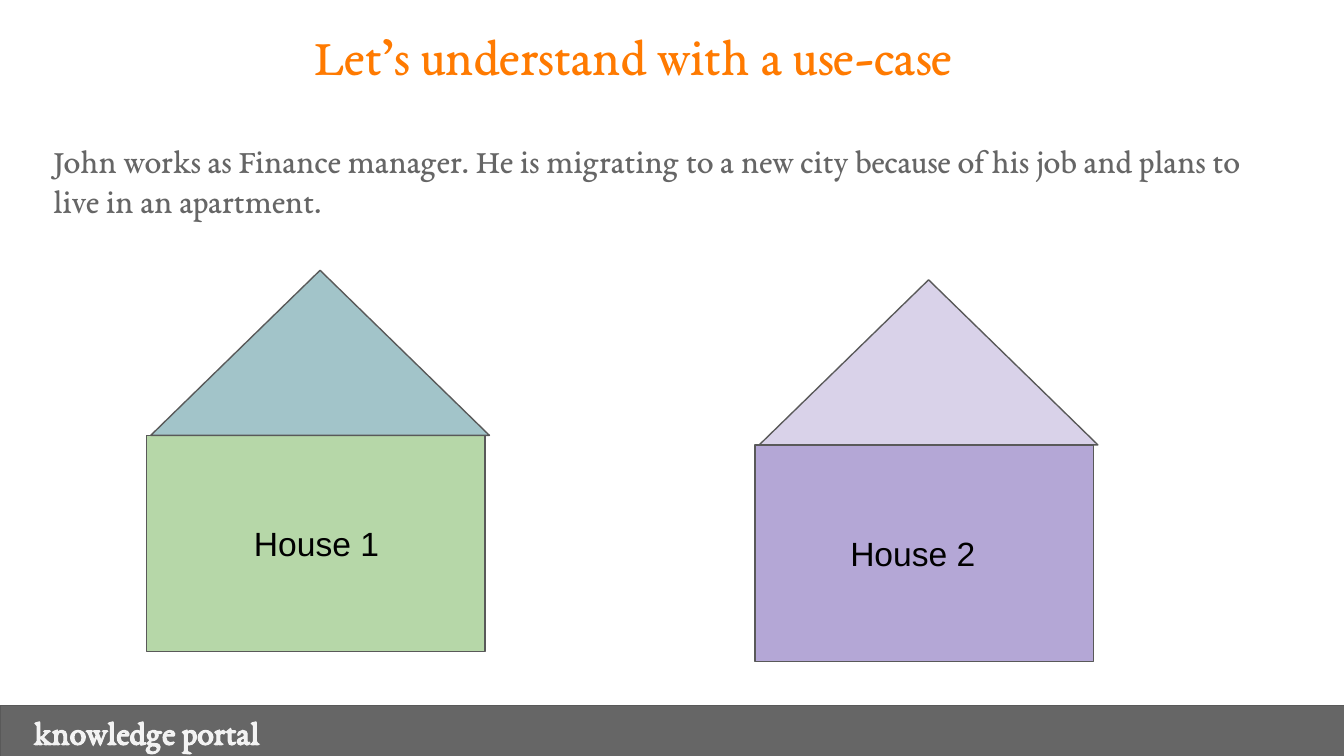
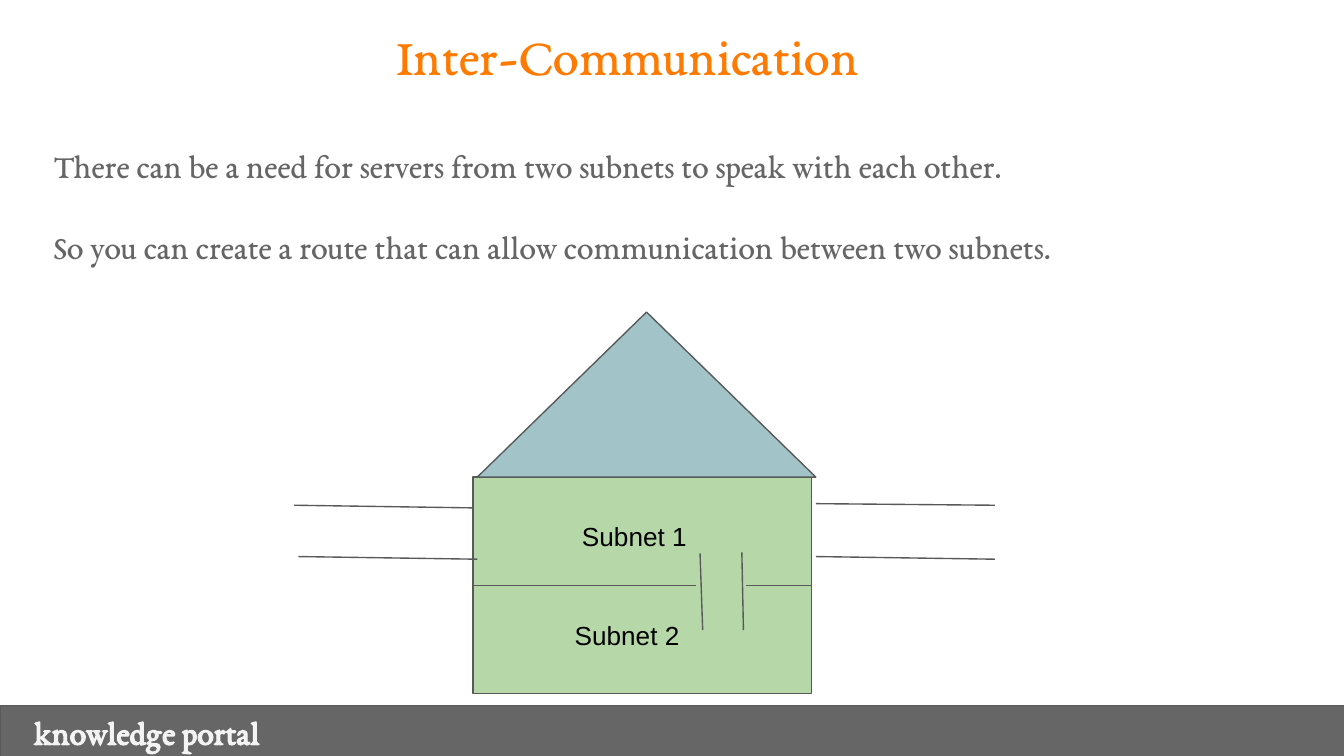
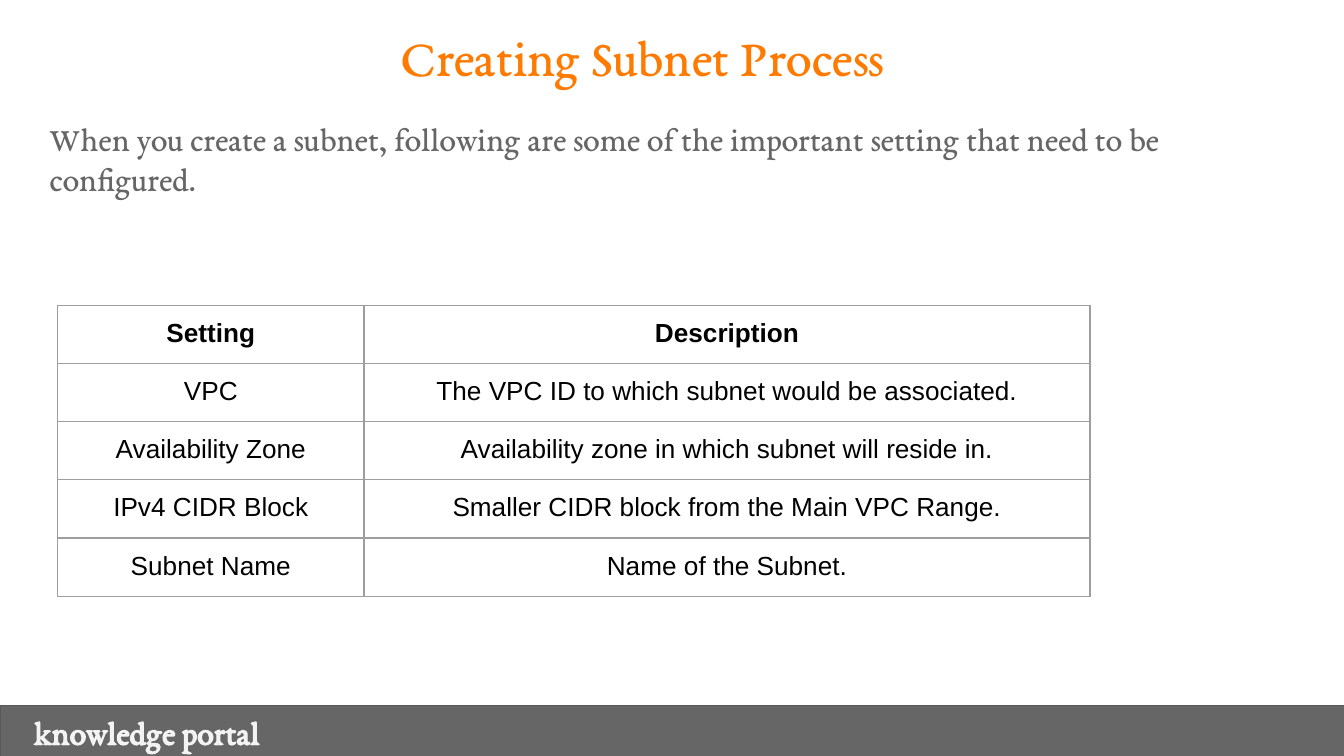
from lxml.etree import SubElement
from pptx import Presentation
from pptx.dml.color import RGBColor
from pptx.enum.shapes import MSO_CONNECTOR, MSO_SHAPE
from pptx.enum.text import MSO_ANCHOR, MSO_AUTO_SIZE, PP_ALIGN
from pptx.oxml.ns import qn
from pptx.util import Cm, Pt

ORANGE = RGBColor(0xFF, 0x7A, 0x00)
GRAY = RGBColor(0x66, 0x66, 0x66)
OUTLINE = RGBColor(0x59, 0x59, 0x59)
PALE = RGBColor(0xF3, 0xF3, 0xF3)
BLACK = RGBColor(0x00, 0x00, 0x00)
GREEN = RGBColor(0xB6, 0xD7, 0xA8)
TEAL = RGBColor(0xA2, 0xC4, 0xC9)
PURPLE = RGBColor(0xB4, 0xA7, 0xD6)
LILAC = RGBColor(0xD9, 0xD2, 0xE9)
TABLE_BORDER = "9E9E9E"

SERIF = "EB Garamond"
SANS = "Arial"
LINE_WIDTH = Pt(0.75)
INSET = 0.25


def write(frame, lines, font_name, size, color, bold=False, align=PP_ALIGN.LEFT,
          anchor=MSO_ANCHOR.TOP, left_inset=INSET, gap=0):
    """Fill a text frame, one paragraph per line, with gap points between them."""
    frame.word_wrap = True
    frame.auto_size = MSO_AUTO_SIZE.NONE
    frame.vertical_anchor = anchor
    frame.margin_left = Cm(left_inset)
    frame.margin_right = frame.margin_top = frame.margin_bottom = Cm(INSET)
    for index, line in enumerate(lines):
        paragraph = frame.add_paragraph() if index else frame.paragraphs[0]
        properties = paragraph._p.get_or_add_pPr()
        properties.set("marL", "0")
        properties.set("indent", "0")
        SubElement(properties, qn("a:buNone"))
        paragraph.alignment = align
        paragraph.space_before = Pt(gap if index else 0)
        run = paragraph.add_run()
        run.text = line
        run.font.name = font_name
        run.font.size = Pt(size)
        run.font.bold = bold
        run.font.color.rgb = color


def add_outlined_shape(slide, kind, left, top, width, height, fill):
    shape = slide.shapes.add_shape(kind, Cm(left), Cm(top), Cm(width), Cm(height))
    shape.shadow.inherit = False
    shape.fill.solid()
    shape.fill.fore_color.rgb = fill
    shape.line.color.rgb = OUTLINE
    shape.line.width = LINE_WIDTH
    return shape


presentation = Presentation()
presentation.slide_width = Cm(25.4)
presentation.slide_height = Cm(14.29)

# Titles, body text and footer band
pages = [
    ("Let’s understand with a use-case", (0, 0.18), (0.76, 2.39),
     ["John works as Finance manager. He is migrating to a new city because of "
      "his job and plans to live in an apartment."]),
    ("Inter-Communication", (-0.11, 0.18), (0.76, 2.49),
     ["There can be a need for servers from two subnets to speak with each other.",
      "So you can create a route that can allow communication between two subnets."]),
    ("Creating Subnet Process", (0.18, 0.2), (0.69, 1.98),
     ["When you create a subnet, following are some of the important setting that "
      "need to be configured."]),
]
for title_text, title_place, body_place, body_lines in pages:
    slide = presentation.slides.add_slide(presentation.slide_layouts[1])
    title, body = slide.shapes.title, slide.placeholders[1]
    for placeholder, (left, top), height in ((title, title_place, 2.2),
                                             (body, body_place, 3.4)):
        placeholder.left, placeholder.top = Cm(left), Cm(top)
        placeholder.width, placeholder.height = Cm(23.93), Cm(height)
    write(title.text_frame, [title_text], SERIF, 28, ORANGE, align=PP_ALIGN.CENTER)
    write(body.text_frame, body_lines, SERIF, 18, GRAY, gap=21.6)
    footer = add_outlined_shape(slide, MSO_SHAPE.RECTANGLE, 0, 13.34, 25.45, 0.97, GRAY)
    write(footer.text_frame, ["knowledge portal"], SERIF, 18, PALE, bold=True,
          anchor=MSO_ANCHOR.MIDDLE, left_inset=0.64)

use_case, communication, process = presentation.slides

# Houses: walls with a roof on top
HOUSE_WIDTH, WALL_HEIGHT, ROOF_HEIGHT = 6.4, 4.09, 3.12
houses = [
    (use_case, 2.77, 8.23, GREEN, TEAL, "House 1", 2.03),
    (use_case, 14.27, 8.41, PURPLE, LILAC, "House 2", 1.8),
    (communication, 8.94, 9.02, GREEN, TEAL, None, INSET),
]
for slide, left, top, wall_color, roof_color, label, label_inset in houses:
    walls = add_outlined_shape(slide, MSO_SHAPE.RECTANGLE, left, top,
                               HOUSE_WIDTH, WALL_HEIGHT, wall_color)
    add_outlined_shape(slide, MSO_SHAPE.ISOSCELES_TRIANGLE, left + 0.08,
                       top - ROOF_HEIGHT, HOUSE_WIDTH, ROOF_HEIGHT, roof_color)
    if label:
        write(walls.text_frame, [label], SANS, 18, BLACK,
              anchor=MSO_ANCHOR.MIDDLE, left_inset=label_inset)

# Subnets inside the house, and the roads that join them
for label, top, label_inset in (("Subnet 1", 9.58, 1.2), ("Subnet 2", 11.46, 1.06)):
    box = communication.shapes.add_textbox(Cm(9.8), Cm(top), Cm(4.7), Cm(0.97))
    write(box.text_frame, [label], SANS, 14, BLACK, left_inset=label_inset)

roads = [
    (8.94, 11.07, 13.16, 11.07),
    (14.1, 11.07, 15.34, 11.07),
    (5.56, 9.55, 8.94, 9.6),
    (5.64, 10.52, 9.02, 10.57),
    (15.42, 9.52, 18.8, 9.55),
    (15.42, 10.52, 18.8, 10.57),
    (13.23, 10.46, 13.28, 11.91),
    (14.02, 10.44, 14.05, 11.91),
]
for ends in roads:
    road = communication.shapes.add_connector(MSO_CONNECTOR.STRAIGHT, *map(Cm, ends))
    road.line.color.rgb = OUTLINE
    road.line.width = LINE_WIDTH
    SubElement(road._element.spPr, qn("a:effectLst"))

# Table of subnet settings
settings = [
    ("Setting", "Description"),
    ("VPC", "The VPC ID to which subnet would be associated."),
    ("Availability Zone", "Availability zone in which subnet will reside in."),
    ("IPv4 CIDR Block", "Smaller CIDR block from the Main VPC Range."),
    ("Subnet Name", "Name of the Subnet."),
]
COLUMN_WIDTHS = (5.79, 13.72)
ROW_HEIGHT = 1.1
table = process.shapes.add_table(
    len(settings), len(COLUMN_WIDTHS), Cm(1.09), Cm(5.77),
    Cm(sum(COLUMN_WIDTHS)), Cm(ROW_HEIGHT * len(settings))).table
table.first_row = False
table.horz_banding = False
for column, width in zip(table.columns, COLUMN_WIDTHS):
    column.width = Cm(width)
for row_index, texts in enumerate(settings):
    table.rows[row_index].height = Cm(ROW_HEIGHT)
    for column_index, text in enumerate(texts):
        cell = table.cell(row_index, column_index)
        cell.margin_left = cell.margin_right = Cm(INSET)
        cell.margin_top = cell.margin_bottom = Cm(INSET)
        properties = cell._tc.get_or_add_tcPr()
        for side in ("a:lnL", "a:lnR", "a:lnT", "a:lnB"):
            border = SubElement(properties, qn(side), w=str(LINE_WIDTH))
            border_fill = SubElement(border, qn("a:solidFill"))
            SubElement(border_fill, qn("a:srgbClr"), val=TABLE_BORDER)
        cell.fill.background()
        paragraph = cell.text_frame.paragraphs[0]
        paragraph.alignment = PP_ALIGN.CENTER
        run = paragraph.add_run()
        run.text = text
        run.font.name = SANS
        run.font.size = Pt(14)
        run.font.bold = row_index == 0
        run.font.color.rgb = BLACK

presentation.save("out.pptx")
